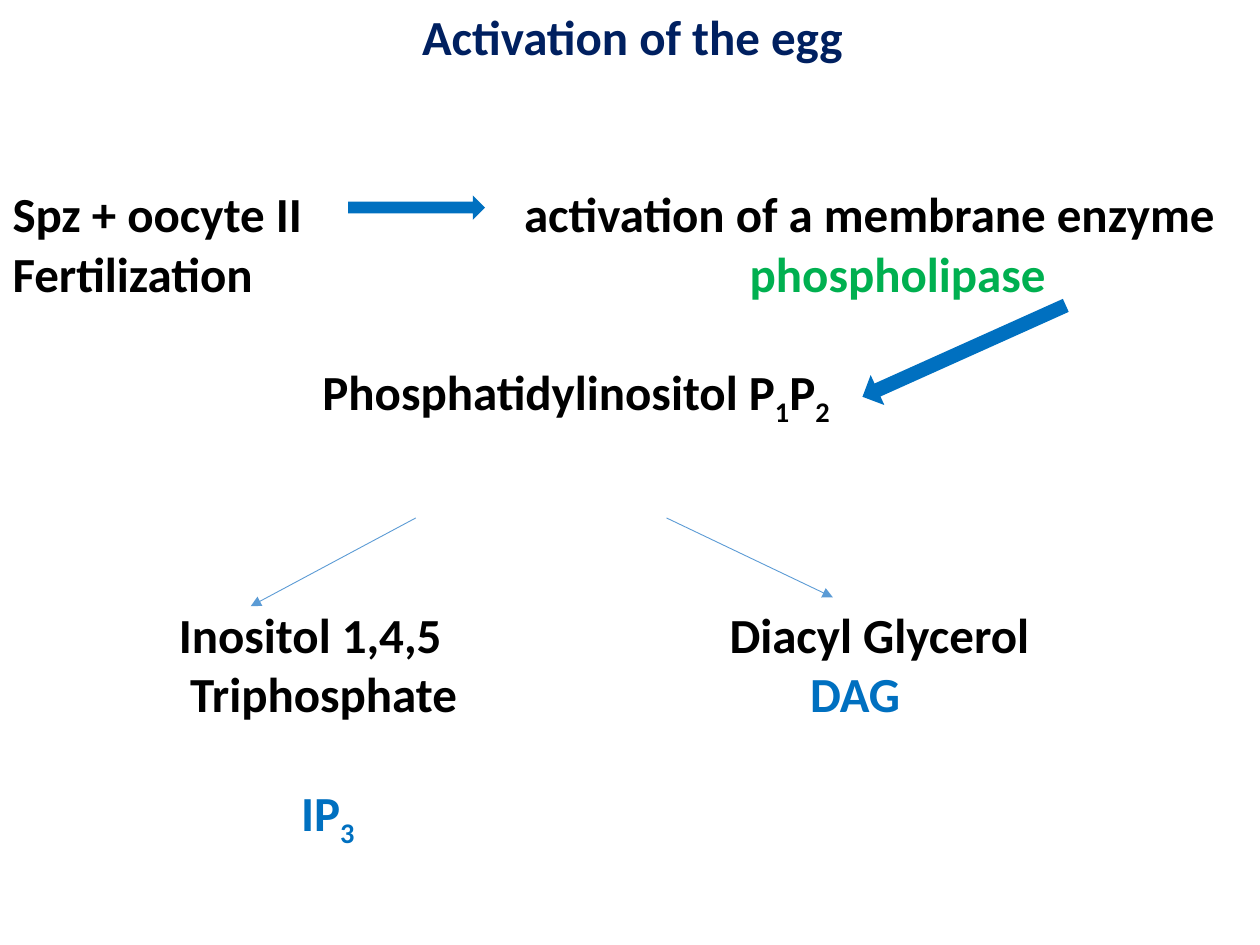
"""Build a slide on how the egg is activated after fertilization."""
from dataclasses import dataclass

from lxml import etree
from pptx import Presentation
from pptx.dml.color import RGBColor
from pptx.enum.shapes import MSO_CONNECTOR, MSO_SHAPE
from pptx.oxml.ns import qn
from pptx.slide import Slide
from pptx.util import Inches, Length, Pt

RIGHT, DOWN = MSO_SHAPE.RIGHT_ARROW, MSO_SHAPE.DOWN_ARROW
STRAIGHT = MSO_CONNECTOR.STRAIGHT
COL, ROW, TOP = 0.1, 0.47, 0.05


@dataclass(frozen=True)
class Theme:
    """Colours and type of the slide."""
    font: str = "Calibri"
    size: float = 28
    navy: str = "002060"
    black: str = "000000"
    green: str = "00B050"
    blue: str = "0070C0"
    sky: str = "5B9BD5"
    red: str = "FF0000"


@dataclass(frozen=True)
class Label:
    """Text in bits, where every second bit is a subscript."""
    col: float
    row: float
    cols: float
    bits: tuple[str, ...]
    color: str


@dataclass(frozen=True)
class Block:
    """Block arrow placed on the grid of columns and rows."""
    kind: MSO_SHAPE
    col: float
    row: float
    cols: float
    rows: float
    turn: float
    fill: str
    line: float


@dataclass(frozen=True)
class Branch:
    """Thin arrow from one grid point to another."""
    start: tuple[float, float]
    end: tuple[float, float]


THEME = Theme()
LABELS = (
    Label(33.5, 0, 36, ("Activation of the egg",), THEME.navy),
    Label(1, 3, 26, ("Spz + oocyte II",), THEME.black),
    Label(41.6, 3, 57, ("activation of a membrane enzyme",), THEME.black),
    Label(1, 4, 26, ("Fertilization",), THEME.black),
    Label(59.5, 4, 26, ("phospholipase",), THEME.green),
    Label(25.6, 6, 43, ("Phosphatidylinositol P", "1", "P", "2"), THEME.black),
    Label(14.2, 10.1, 24, ("Inositol 1,4,5",), THEME.black),
    Label(57.9, 10.1, 26, ("Diacyl Glycerol",), THEME.black),
    Label(15.1, 11.1, 24, ("Triphosphate",), THEME.black),
    Label(64.3, 11.1, 10, ("DAG",), THEME.blue),
    Label(23.9, 13.1, 8, ("IP", "3"), THEME.blue),
)
BLOCKS = (
    Block(RIGHT, 27.7, 3.23, 10.7, 0.34, 0, THEME.blue, 1),
    Block(DOWN, 76.3, 4.04, 0.6, 3.55, 65.8, THEME.red, 6),
)
BRANCHES = (
    Branch((33, 8.64), (19.9, 10.13)),
    Branch((52.9, 8.64), (66.1, 9.98)),
)


def spot(col: float, row: float) -> tuple[Length, Length]:
    """Turn a grid point into a place on the slide."""
    return Inches(col * COL), Inches(TOP + row * ROW)


def write(slide: Slide, label: Label) -> None:
    """Add one line of text."""
    box = slide.shapes.add_textbox(
        *spot(label.col, label.row), Inches(label.cols * COL), Inches(ROW))
    frame = box.text_frame
    form = dict(word_wrap=True, margin_left=0, margin_right=0,
                margin_top=0, margin_bottom=0)
    for key, value in form.items():
        setattr(frame, key, value)
    for place, bit in enumerate(label.bits):
        run = frame.paragraphs[0].add_run()
        run.text = bit
        form = dict(name=THEME.font, size=Pt(THEME.size), bold=True)
        for key, value in form.items():
            setattr(run.font, key, value)
        run.font.color.rgb = RGBColor.from_string(label.color)
        if place % 2:
            run._r.get_or_add_rPr().set("baseline", "-25000")


def point(slide: Slide, block: Block) -> None:
    """Add a block arrow with sharp corners."""
    shape = slide.shapes.add_shape(
        block.kind, *spot(block.col, block.row),
        Inches(block.cols * COL), Inches(block.rows * ROW))
    shape.rotation = block.turn
    shape.shadow.inherit = False
    shape.fill.solid()
    shape.fill.fore_color.rgb = RGBColor.from_string(block.fill)
    shape.line.color.rgb = RGBColor.from_string(THEME.blue)
    shape.line.width = Pt(block.line)
    etree.SubElement(shape.line._get_or_add_ln(), qn("a:miter"), lim="800000")


def split(slide: Slide, branch: Branch) -> None:
    """Add a thin arrow to a product."""
    link = slide.shapes.add_connector(
        STRAIGHT, *spot(*branch.start), *spot(*branch.end))
    link.line.color.rgb = RGBColor.from_string(THEME.sky)
    link.line.width = Pt(0.5)
    etree.SubElement(link.line._get_or_add_ln(), qn("a:tailEnd"), type="triangle")
    etree.SubElement(link._element.spPr, qn("a:effectLst"))


def main() -> None:
    """Draw the slide and save it."""
    deck = Presentation()
    deck.slide_width, deck.slide_height = Inches(10), Inches(7.5)
    slide = deck.slides.add_slide(deck.slide_layouts[6])
    for draw, items in ((write, LABELS), (point, BLOCKS), (split, BRANCHES)):
        for item in items:
            draw(slide, item)
    deck.save("out.pptx")


if __name__ == "__main__":
    main()
